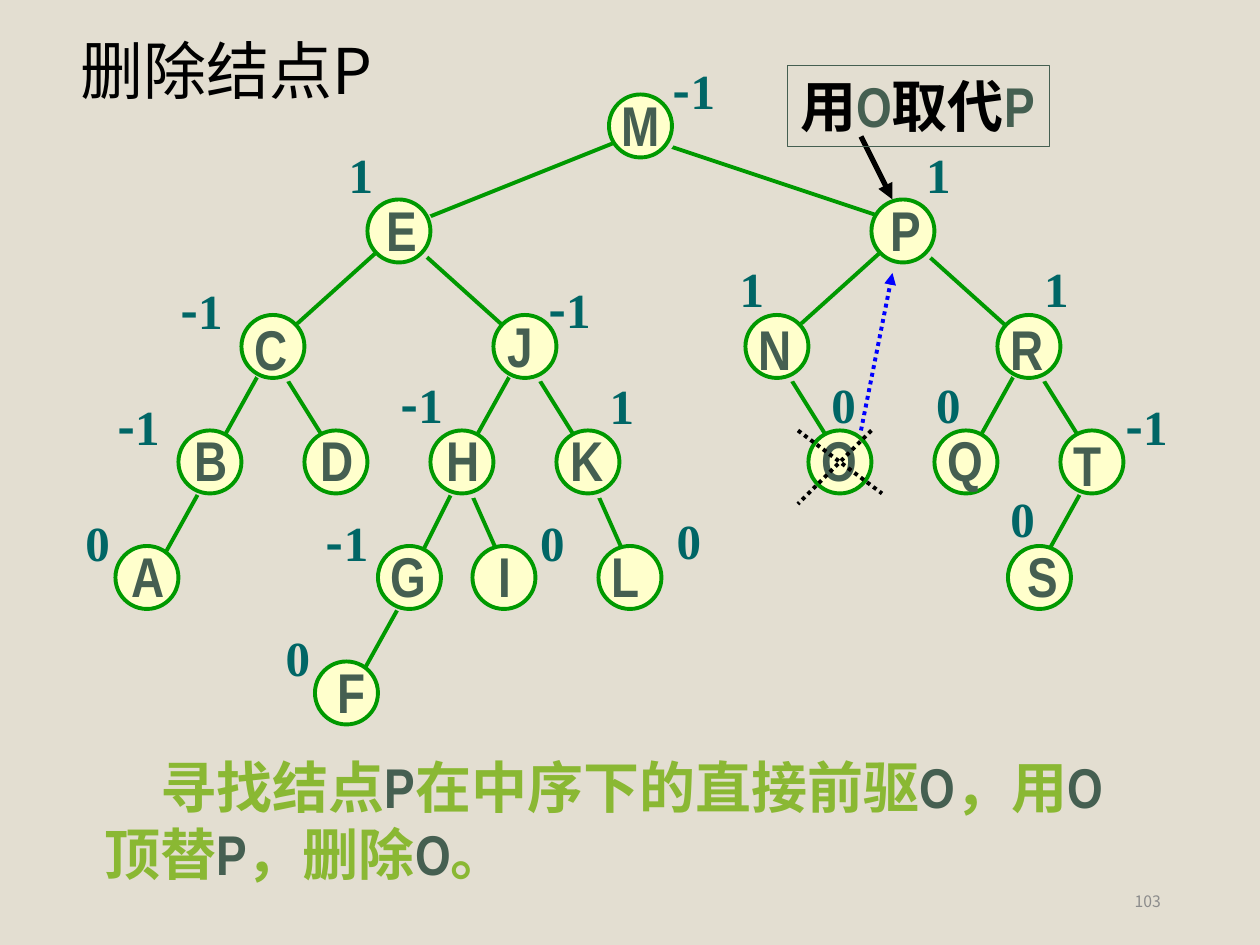
"""Build the slide on deleting node P from a balanced binary search tree."""
from lxml import etree
from pptx import Presentation
from pptx.dml.color import RGBColor
from pptx.enum.dml import MSO_LINE_DASH_STYLE as Dash
from pptx.enum.shapes import MSO_CONNECTOR as Connector, MSO_SHAPE as Shape
from pptx.enum.text import MSO_ANCHOR as Anchor, PP_ALIGN as Align
from pptx.oxml import parse_xml
from pptx.oxml.ns import nsdecls, qn
from pptx.util import Cm, Pt

COLORS = {
    "page": "E3DED1", "edge": "009900", "node": "FFFFCC", "letter": "455F51",
    "balance": "006666", "accent": "8AB833", "black": "000000",
    "move": "0000FF", "number": "8C8C8C",
}
NARROW, ROMAN, SANS = "Arial Narrow", "Times New Roman", "Noto Sans CJK SC"
GRID = Cm(25.4) / 120
SHADOW = (
    f'<a:effectLst {nsdecls("a")}><a:outerShdw dist="35921" dir="2700000" algn="ctr" '
    f'rotWithShape="0"><a:srgbClr val="{COLORS["page"]}"/></a:outerShdw></a:effectLst>'
)

deck = Presentation()
deck.slide_width, deck.slide_height = Cm(25.4), Cm(19.05)
page = deck.slides.add_slide(deck.slide_layouts[6])
page.background.fill.solid()
page.background.fill.fore_color.rgb = RGBColor.from_string(COLORS["page"])


def write(shape, size, bold, spans, wrap=True):
    """Fill the first paragraph with (text, font, color) spans."""
    shape.text_frame.word_wrap = wrap
    para = shape.text_frame.paragraphs[0]
    para.font.size, para.font.bold = Pt(size), bold
    for text, font, color in spans:
        span = para.add_run()
        span.text = text
        span.font.name = font
        span.font.size, span.font.bold = Pt(size), bold
        span.font.color.rgb = RGBColor.from_string(COLORS[color])
    return para


def draw_line(ends, color, width, dash=None, arrow=False):
    """Draw a straight line between two grid points."""
    line = page.shapes.add_connector(Connector.STRAIGHT, *(round(end * GRID) for end in ends))
    line.line.color.rgb = RGBColor.from_string(COLORS[color])
    line.line.width = Pt(width)
    if dash:
        line.line.dash_style = dash
    if arrow:
        etree.SubElement(line.line._get_or_add_ln(), qn("a:tailEnd"), type="triangle")
    etree.SubElement(line._element.spPr, qn("a:effectLst"))


edges = [
    (60, 13, 40, 21), (61, 13, 85, 21), (37, 23, 27, 32), (39, 23, 49, 32),
    (85, 23, 75, 32), (88, 24, 98, 33), (25, 35, 20, 44), (26, 34, 31, 42),
    (49, 35, 44, 44), (50, 34, 55, 42), (74, 34, 79, 42), (97, 35, 92, 44),
    (98, 34, 103, 42), (20, 45, 15, 54), (44, 45, 39, 55), (44, 45, 48, 54),
    (56, 45, 60, 54), (104, 45, 99, 54), (39, 56, 34, 65),
]
for edge in edges:
    draw_line(edge, "edge", 2.25)

# letter: (circle on the grid), (letter box in cm), balance factor, (its box in cm)
nodes = {
    "A": ((11, 52), (2.41, 10.8), "0", (1.47, 10.21)),
    "B": ((17, 41), (3.68, 8.46), "-1", (2.11, 7.87)),
    "C": ((23, 30), (4.88, 6.22), "-1", (3.38, 5.54)),
    "D": ((29, 41), (6.22, 8.46), None, None),
    "E": ((35, 19), (7.54, 3.81), "1", (6.78, 2.79)),
    "F": ((30, 63), (6.55, 13.13), "0", (5.51, 12.52)),
    "G": ((36, 52), (7.62, 10.8), "-1", (6.32, 10.21)),
    "H": ((41, 41), (8.76, 8.46), "-1", (7.82, 7.42)),
    "I": ((45, 52), (9.8, 10.8), "0", (10.64, 10.21)),
    "J": ((47, 30), (9.98, 6.15), "-1", (10.8, 5.51)),
    "K": ((53, 41), (11.25, 8.46), "1", (12.04, 7.44)),
    "L": ((57, 52), (12.07, 10.8), "0", (13.39, 10.16)),
    "M": ((58, 9), (12.27, 1.7), "-1", (13.31, 1.09)),
    "N": ((71, 30), (15.04, 6.22), "1", (14.66, 5.08)),
    "O": ((77, 41), (16.31, 8.46), "0", (16.51, 7.42)),
    "P": ((83, 19), (17.7, 3.81), "1", (18.42, 2.79)),
    "Q": ((89, 41), (18.85, 8.46), "0", (18.62, 7.42)),
    "R": ((95, 30), (20.12, 6.22), "1", (20.8, 5.08)),
    "S": ((96, 52), (20.47, 10.8), "0", (20.12, 9.73)),
    "T": ((101, 41), (21.39, 8.56), "-1", (22.43, 7.87)),
}
for (column, row), *rest in nodes.values():
    circle = page.shapes.add_shape(
        Shape.OVAL, round(column * GRID), round(row * GRID), Cm(1.27), Cm(1.27))
    circle.fill.solid()
    circle.fill.fore_color.rgb = RGBColor.from_string(COLORS["node"])
    circle.line.color.rgb = RGBColor.from_string(COLORS["edge"])
    circle.line.width = Pt(2.25)
    circle._element.spPr.append(parse_xml(SHADOW))

for letter, (corner, (left, top), balance, balance_corner) in nodes.items():
    box = page.shapes.add_textbox(Cm(left), Cm(top), Cm(1.2), Cm(1.6))
    write(box, 32, True, [(letter, NARROW, "letter")], wrap=False)
    if balance:
        left, top = balance_corner
        box = page.shapes.add_textbox(Cm(left), Cm(top), Cm(0.5 + 0.5 * len(balance)), Cm(1.45))
        spans = [(sign, SANS if sign == "-" else ROMAN, "balance") for sign in balance]
        write(box, 28, True, spans, wrap=False)

box = page.shapes.add_textbox(Cm(1.85), Cm(15.04), Cm(21.64), Cm(2.97))
pieces = ["寻找结点", "P", "在中序下的直接前驱", "O", "，用", "O", "顶替", "P", "，删除", "O", "。"]
para = write(box, 32, True, [
    (piece, NARROW, "letter" if piece in nodes else "accent") for piece in pieces])
para._p.get_or_add_pPr().set("indent", str(Cm(1.13)))

draw_line((82, 13, 85, 19), "black", 3, arrow=True)
draw_line((82, 41, 85, 26), "move", 2.25, Dash.ROUND_DOT, arrow=True)
draw_line((83, 41, 76, 48), "black", 2.25, Dash.ROUND_DOT)
draw_line((76, 41, 84, 47), "black", 2.25, Dash.ROUND_DOT)

callout = page.shapes.add_shape(Shape.RECTANGLE, Cm(15.88), Cm(1.32), Cm(5.28), Cm(1.63))
callout.shadow.inherit = False
callout.fill.background()
callout.line.color.rgb = RGBColor.from_string(COLORS["letter"])
callout.line.width = Pt(0.75)
callout.text_frame.vertical_anchor = Anchor.TOP
para = write(callout, 32, True, [
    ("用", ROMAN, "black"), ("O", NARROW, "letter"),
    ("取代", NARROW, "black"), ("P", NARROW, "letter")])
para.alignment = Align.LEFT

title = page.shapes.add_textbox(Cm(1.37), Cm(0.69), Cm(6.88), Cm(1.98))
write(title, 36, False, [("删除结点P", SANS, "black")]).line_spacing = 0.9

number = page.shapes.add_textbox(Cm(17.93), Cm(17.65), Cm(5.72), Cm(1.02))
number.text_frame.vertical_anchor = Anchor.MIDDLE
write(number, 9, False, [("103", SANS, "number")]).alignment = Align.RIGHT

deck.save("out.pptx")
